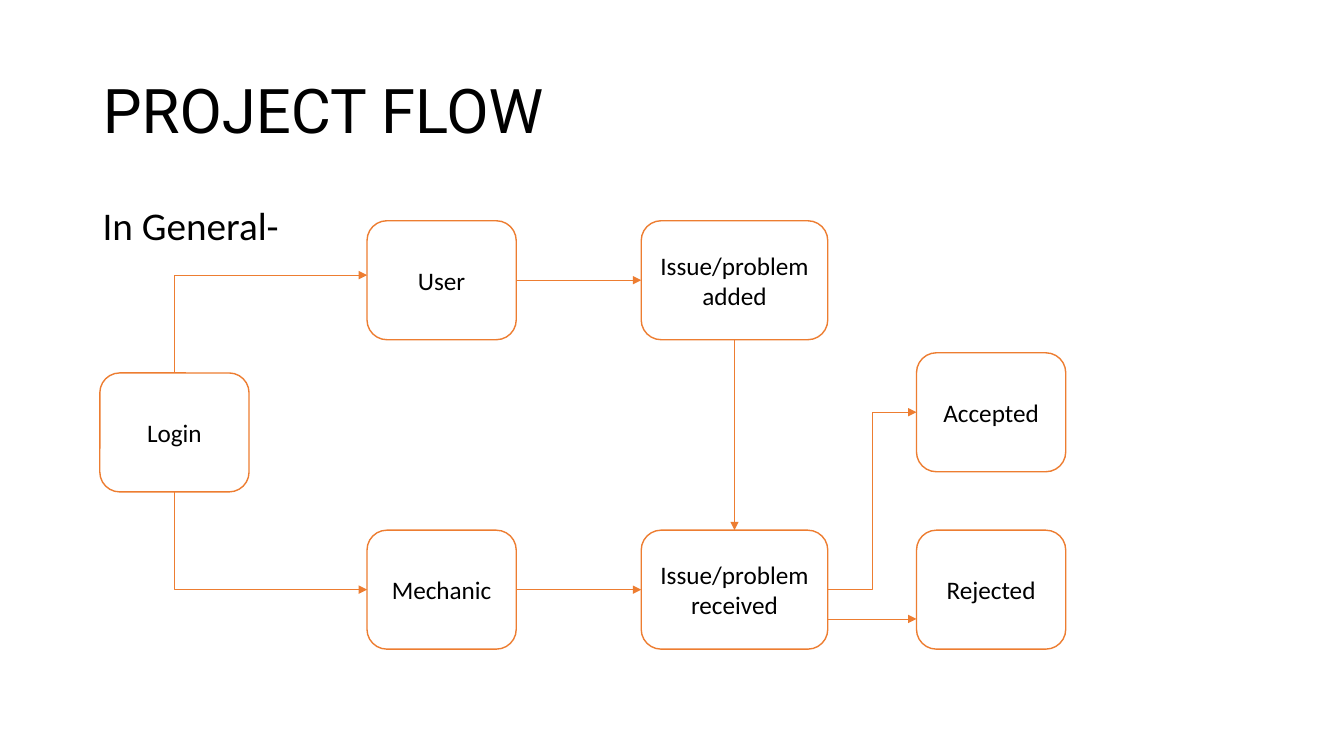
from dataclasses import dataclass

from lxml import etree
from pptx import Presentation
from pptx.dml.color import RGBColor
from pptx.enum.shapes import MSO_CONNECTOR, MSO_SHAPE
from pptx.enum.text import MSO_ANCHOR, PP_ALIGN
from pptx.oxml.ns import qn
from pptx.util import Inches, Pt

ROUNDED = MSO_SHAPE.ROUNDED_RECTANGLE
STRAIGHT, ELBOW = MSO_CONNECTOR.STRAIGHT, MSO_CONNECTOR.ELBOW
MIDDLE, TOP_ANCHOR = MSO_ANCHOR.MIDDLE, MSO_ANCHOR.TOP
LEFT_ALIGN, CENTER = PP_ALIGN.LEFT, PP_ALIGN.CENTER
TOP, LEFT, BOTTOM, RIGHT = range(4)
TITLE_ONLY = 5


@dataclass(frozen=True)
class Theme:
    text: RGBColor = RGBColor(0x00, 0x00, 0x00)
    paper: RGBColor = RGBColor(0xFF, 0xFF, 0xFF)
    accent: RGBColor = RGBColor(0xED, 0x7D, 0x31)
    title_font: str = "Roboto"
    body_font: str = "Calibri"
    title_size: int = 44
    intro_size: int = 28
    step_size: int = 18
    box_line: float = 1
    arrow_line: float = 0.5


class FlowSlide:
    def __init__(self, slide, theme):
        self.slide = slide
        self.theme = theme

    def add_text(self, frame, text, size, font, align, anchor):
        frame.word_wrap = True
        frame.vertical_anchor = anchor
        paragraph = frame.paragraphs[0]
        paragraph.alignment = align
        run = paragraph.add_run()
        run.text = text
        run.font.size = Pt(size)
        run.font.name = font
        run.font.color.rgb = self.theme.text
        return paragraph

    def title(self, text, left, top, width, height):
        heading = self.slide.shapes.title
        heading.left, heading.top = Inches(left), Inches(top)
        heading.width, heading.height = Inches(width), Inches(height)
        paragraph = self.add_text(heading.text_frame, text, self.theme.title_size,
                                  self.theme.title_font, LEFT_ALIGN, MIDDLE)
        paragraph.line_spacing = 0.9

    def intro(self, text, left, top, width, height):
        box = self.slide.shapes.add_textbox(
            Inches(left), Inches(top), Inches(width), Inches(height))
        paragraph = self.add_text(box.text_frame, text, self.theme.intro_size,
                                  self.theme.body_font, LEFT_ALIGN, TOP_ANCHOR)
        paragraph.line_spacing = 0.9
        paragraph.space_before = Pt(10)

    def step(self, text, left, top, width, height):
        box = self.slide.shapes.add_shape(
            ROUNDED, Inches(left), Inches(top), Inches(width), Inches(height))
        box.shadow.inherit = False
        box.fill.solid()
        box.fill.fore_color.rgb = self.theme.paper
        box.line.color.rgb = self.theme.accent
        box.line.width = Pt(self.theme.box_line)
        self.add_text(box.text_frame, text, self.theme.step_size,
                      self.theme.body_font, CENTER, MIDDLE)
        return box

    def arrow(self, kind, start, end):
        link = self.slide.shapes.add_connector(
            kind, *(Inches(value) for value in (*start, *end)))
        link.line.color.rgb = self.theme.accent
        link.line.width = Pt(self.theme.arrow_line)
        properties = link._element.spPr
        line = properties.find(qn("a:ln"))
        etree.SubElement(line, qn("a:tailEnd"), type="triangle")
        etree.SubElement(properties, qn("a:effectLst"))
        return link

    def join(self, kind, source, source_side, target, target_side):
        link = self.arrow(kind, (0, 0), (1, 1))
        link.begin_connect(source, source_side)
        link.end_connect(target, target_side)

    def corner(self, start, end):
        (x1, y1), (x2, y2) = start, end
        center_x, center_y = (x1 + x2) / 2, (y1 + y2) / 2
        half_width, half_height = abs(y2 - y1) / 2, (x2 - x1) / 2
        upward = y2 < y1
        shift = half_height if upward else -half_height
        link = self.arrow(ELBOW, (center_x + half_width, center_y + shift),
                          (center_x - half_width, center_y - shift))
        properties = link._element.spPr
        properties.find(qn("a:prstGeom")).set("prst", "bentConnector2")
        quarter_turns = 1 if upward else 3
        properties.find(qn("a:xfrm")).set("rot", str(quarter_turns * 90 * 60000))


def main():
    deck = Presentation()
    deck.slide_width, deck.slide_height = Inches(13.33), Inches(7.5)
    flow = FlowSlide(deck.slides.add_slide(deck.slide_layouts[TITLE_ONLY]), Theme())

    flow.title("PROJECT FLOW", 0.92, 0.4, 11.5, 1.45)
    flow.intro("In General-", 0.92, 2, 11.5, 4.76)

    narrow, wide, height = 1.48, 1.85, 1.18
    login_x, role_x, issue_x, outcome_x = 0.99, 3.64, 6.36, 9.09
    user_y, accepted_y, login_y, mechanic_y = 2.19, 3.5, 3.7, 5.26

    flow.step("Login", login_x, login_y, narrow, height)
    user = flow.step("User", role_x, user_y, narrow, height)
    mechanic = flow.step("Mechanic", role_x, mechanic_y, narrow, height)
    received = flow.step("Issue/problem received", issue_x, mechanic_y, wide, height)
    added = flow.step("Issue/problem added", issue_x, user_y, wide, height)
    flow.step("Rejected", outcome_x, mechanic_y, narrow, height)
    accepted = flow.step("Accepted", outcome_x, accepted_y, narrow, height)

    login_center = login_x + narrow / 2
    flow.corner((login_center, login_y), (role_x, 2.73))
    flow.corner((login_center, login_y + height), (role_x, mechanic_y + height / 2))

    flow.join(STRAIGHT, user, RIGHT, added, LEFT)
    flow.join(STRAIGHT, added, BOTTOM, received, TOP)
    flow.join(STRAIGHT, mechanic, RIGHT, received, LEFT)
    rejected_entry = 6.14
    flow.arrow(STRAIGHT, (issue_x + wide, rejected_entry), (outcome_x, rejected_entry))
    flow.join(ELBOW, received, RIGHT, accepted, LEFT)

    deck.save("out.pptx")


if __name__ == "__main__":
    main()
